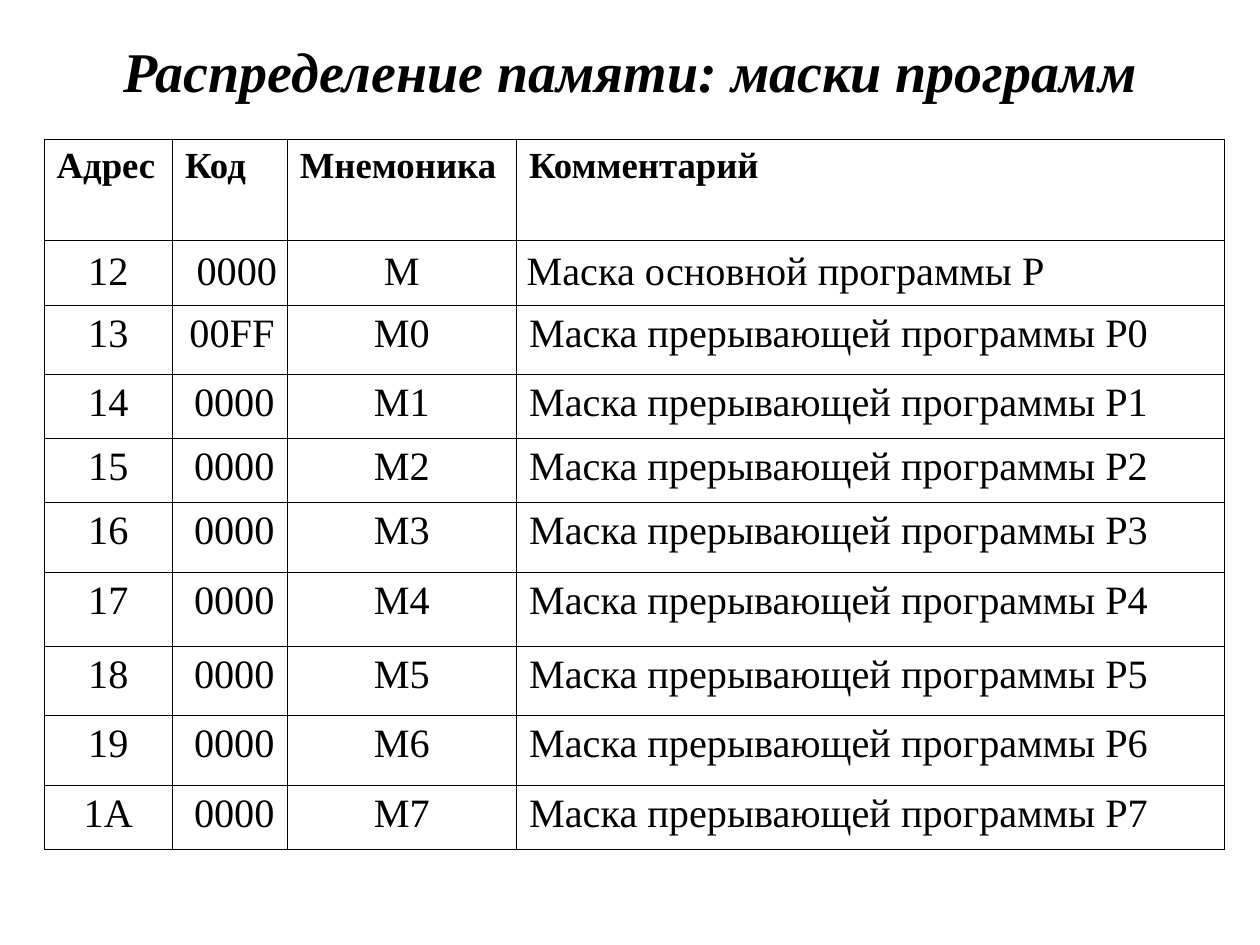
"""Build a slide with the memory layout of program masks."""
from dataclasses import dataclass

from lxml.etree import SubElement
from pptx import Presentation
from pptx.dml.color import RGBColor
from pptx.enum.text import MSO_ANCHOR, MSO_AUTO_SIZE, PP_ALIGN as AL
from pptx.oxml.ns import qn
from pptx.util import Inches, Pt


@dataclass(frozen=True)
class Theme:
    """Colours, font and type sizes of the slide."""
    ink: str = "000000"
    font: str = "Times New Roman"
    title: float = 32
    header: float = 21
    body: float = 23
    border: float = 0.45


THEME = Theme()
HEADERS = ["Адрес", "Код", "Мнемоника", "Комментарий"]
COL_WIDTHS = [1.02, 0.91, 1.82, 5.62]
ROW_HEIGHTS = [0.8, 0.51, 0.55, 0.51, 0.51, 0.55, 0.59, 0.55, 0.55, 0.51]
BODY_ALIGN = [AL.CENTER, AL.RIGHT, AL.CENTER, AL.JUSTIFY]
FIRST_ADDRESS = 0x12
INTERRUPTS = 8


def mask_rows():
    """Return the main program's row and one row per interrupt."""
    rows = [(f"{FIRST_ADDRESS:X}", "0000", "M", "Маска основной программы P")]
    for i in range(INTERRUPTS):
        code = "00FF" if i == 0 else "0000"
        rows.append((f"{FIRST_ADDRESS + 1 + i:X}", code, f"M{i}",
                     f"Маска прерывающей программы P{i}"))
    return rows


def write(tf, text, size, align, bold=False, italic=False, spacing=1.0):
    """Put one formatted paragraph in a text frame."""
    tf.text = text
    p = tf.paragraphs[0]
    p.alignment = align
    p.line_spacing = spacing
    p.space_before = Pt(0)
    font = p.runs[0].font
    font.name, font.size = THEME.font, Pt(size)
    font.bold, font.italic = bold, italic
    font.color.rgb = RGBColor.from_string(THEME.ink)


def style_cell(cell, inset):
    """Give a cell thin borders, no fill and side insets."""
    tc_pr = cell._tc.get_or_add_tcPr()
    for side in ("a:lnL", "a:lnR", "a:lnT", "a:lnB"):
        ln = SubElement(tc_pr, qn(side), w=str(Pt(THEME.border)))
        SubElement(SubElement(ln, qn("a:solidFill")), qn("a:srgbClr"), val=THEME.ink)
    cell.fill.background()
    cell.margin_left = cell.margin_right = Inches(inset)
    cell.margin_top = cell.margin_bottom = Inches(0.05)
    cell.vertical_anchor = MSO_ANCHOR.TOP


def add_title(slide, text):
    """Place and fill the title placeholder."""
    sp = slide.shapes.title
    sp.left, sp.top, sp.width, sp.height = map(Inches, (0.2, 0.17, 9.61, 0.77))
    tf = sp.text_frame
    tf.word_wrap = True
    tf.auto_size = MSO_AUTO_SIZE.NONE
    tf.vertical_anchor = MSO_ANCHOR.MIDDLE
    write(tf, text, THEME.title, AL.CENTER, bold=True, italic=True)


def add_mask_table(slide):
    """Add the table of addresses, codes, mnemonics and comments."""
    table = slide.shapes.add_table(
        len(ROW_HEIGHTS), len(COL_WIDTHS), Inches(0.35), Inches(1.11),
        Inches(sum(COL_WIDTHS)), Inches(sum(ROW_HEIGHTS))).table
    table.first_row = table.horz_banding = False
    for column, width in zip(table.columns, COL_WIDTHS):
        column.width = Inches(width)
    for row, height in zip(table.rows, ROW_HEIGHTS):
        row.height = Inches(height)
    for r, values in enumerate([HEADERS, *mask_rows()]):
        header, main_program = r == 0, r == 1
        for c, text in enumerate(values):
            cell = table.cell(r, c)
            style_cell(cell, 0.08 if main_program else 0.1)
            write(cell.text_frame, text,
                  THEME.header if header else THEME.body,
                  AL.JUSTIFY if header else BODY_ALIGN[c],
                  bold=header, spacing=1.05 if main_program else 1.0)


def main():
    """Build and save the presentation."""
    prs = Presentation()
    prs.slide_width, prs.slide_height = Inches(10), Inches(7.5)
    slide = prs.slides.add_slide(prs.slide_layouts[5])
    add_title(slide, "Распределение памяти: маски программ")
    add_mask_table(slide)
    prs.save("out.pptx")


if __name__ == "__main__":
    main()
